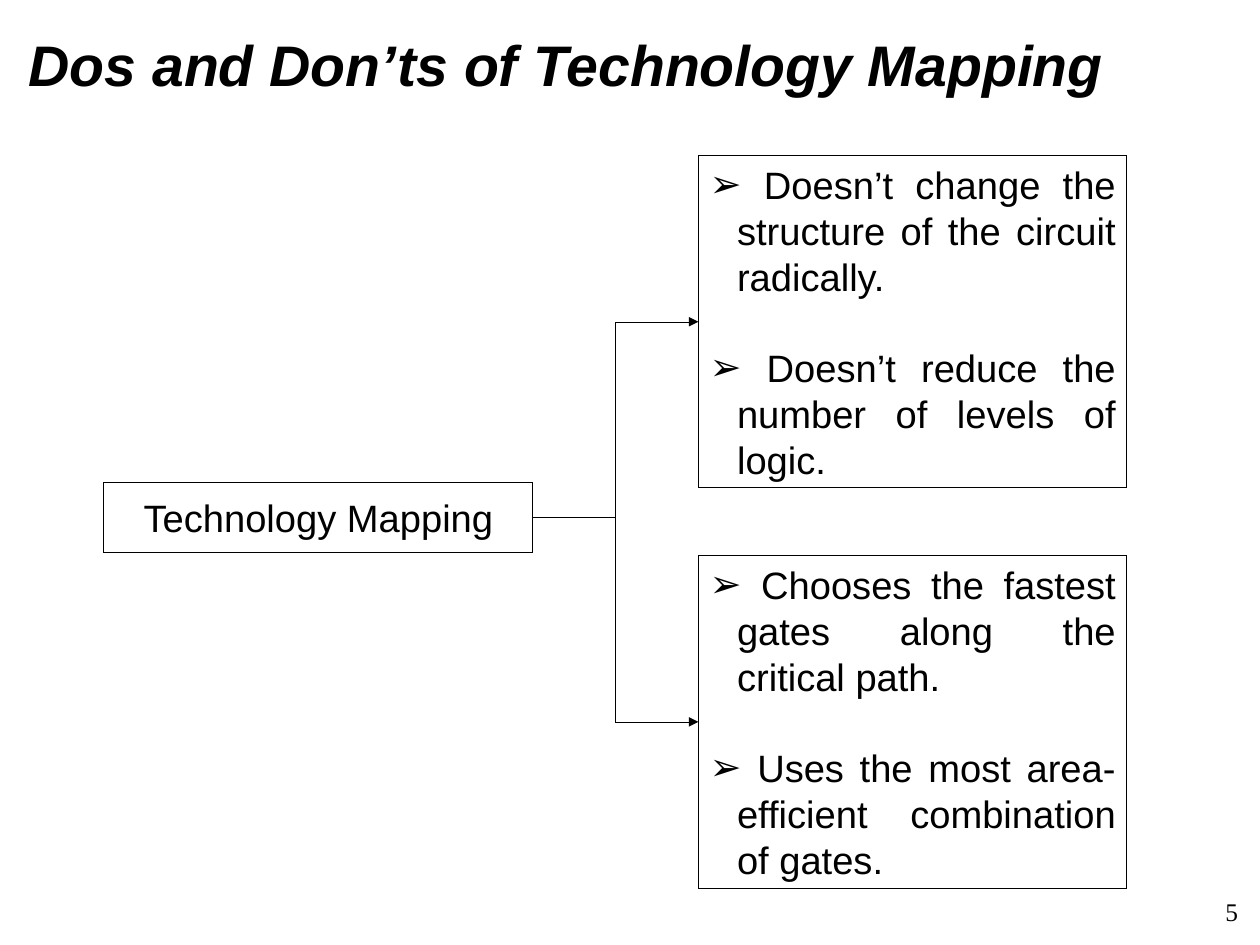
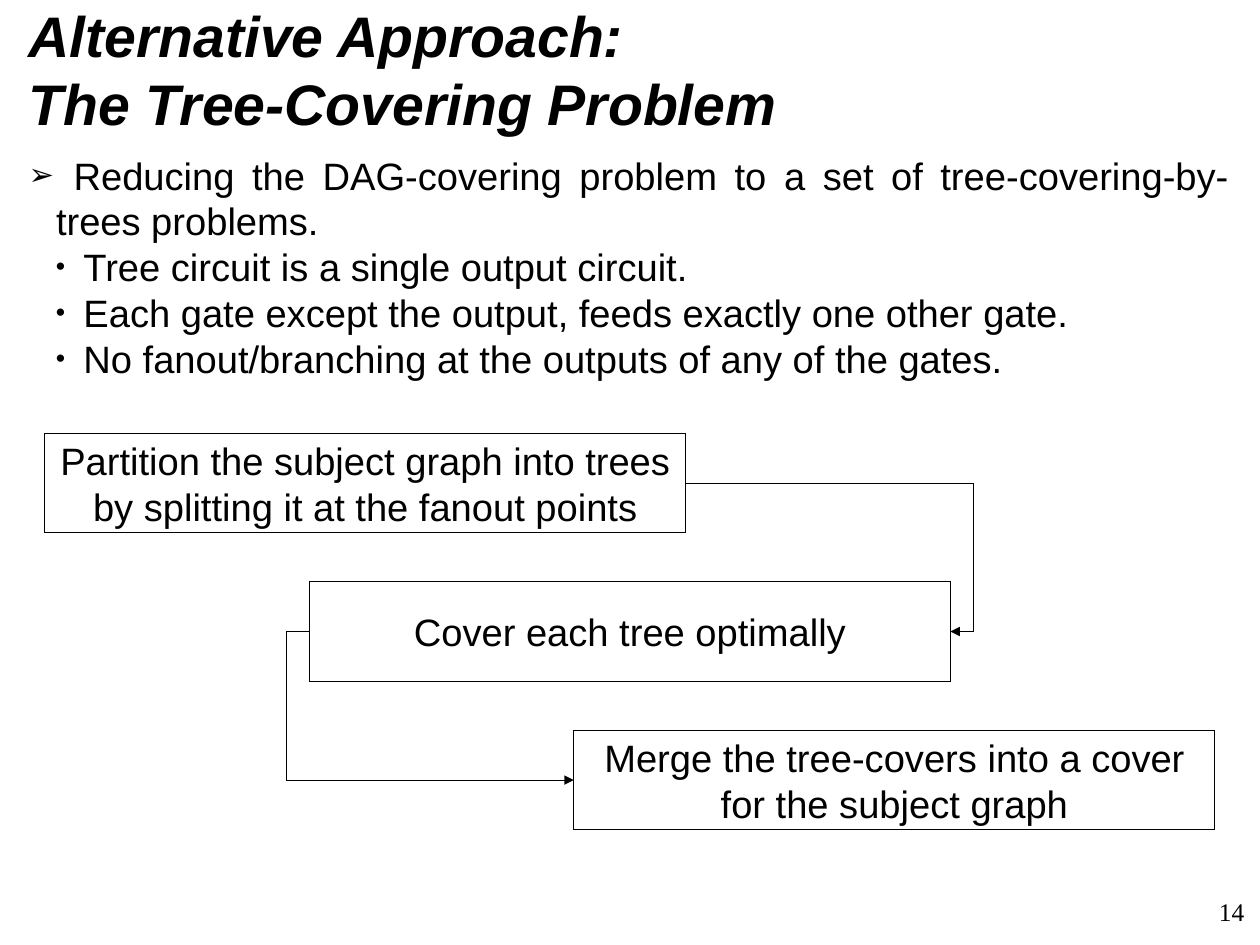
import pptx
import pptx.util
import pptx.dml.color
import pptx.enum.text
import pptx.enum.shapes
import pptx.oxml.ns
import lxml.etree

Inches = pptx.util.Inches
Align = pptx.enum.text.PP_ALIGN
HUES = {"ink": "000000", "paper": "FFFFFF"}
HEAD, TEXT, NOTE = 36, 24, 16
LEAD = 1.2
HANG = 0.24
SANS, SERIF = "Arial", "Times New Roman"
LEFT, WIDE = 0.25, 10.5
PAGE = (28 / 2.54, 21 / 2.54)


def hue(name):
    """Return a palette colour."""
    return pptx.dml.color.RGBColor.from_string(HUES[name])


def node(parent, tag, **attrs):
    """Append a drawing element to its parent."""
    return lxml.etree.SubElement(parent, pptx.oxml.ns.qn("a:" + tag), attrs)


def place(shape, box):
    """Move a shape to a box given in inches."""
    shape.left, shape.top, shape.width, shape.height = map(Inches, box)


def setup(shape, anchor, pads=(0, 0, 0, 0), wrap=True):
    """Set the margins, anchor and wrapping of a text frame."""
    frame = shape.text_frame
    frame.auto_size = pptx.enum.text.MSO_AUTO_SIZE.NONE
    frame.word_wrap = wrap
    frame.vertical_anchor = anchor
    (frame.margin_left, frame.margin_top,
     frame.margin_right, frame.margin_bottom) = map(Inches, pads)
    return frame


def write(frame, text, size=TEXT, font=SANS, align=Align.CENTER, bold=False,
          slant=False, level=0, mark=None, scale=100, gap=0):
    """Add one formatted paragraph to a text frame."""
    par = frame.paragraphs[0]
    if par.runs:
        par = frame.add_paragraph()
    par.text = text
    par.level = level
    par.alignment = align
    par.line_spacing = pptx.util.Pt(size * LEAD)
    par.space_before = pptx.util.Pt(gap)
    for run in par.runs:
        run.font.size = pptx.util.Pt(size)
        run.font.name = font
        run.font.bold, run.font.italic = bold, slant
        run.font.color.rgb = hue("ink")
    if mark:
        props = par._p.get_or_add_pPr()
        props.set("marL", str(Inches(HANG * (level + 1))))
        props.set("indent", str(-Inches(HANG)))
        node(node(props, "buClr"), "srgbClr", val=HUES["ink"])
        node(props, "buSzPct", val=str(scale * 1000))
        node(props, "buFont", typeface=font)
        node(props, "buChar", char=mark)


def hairline(shape):
    """Give a shape or connector the thinnest ink line."""
    shape.line.color.rgb = hue("ink")
    edge = shape.line._get_or_add_ln()
    edge.set("w", "0")
    return edge


def start(deck, layout, title, top, page):
    """Add a slide with its title and page number."""
    slide = deck.slides.add_slide(deck.slide_layouts[layout])
    middle = pptx.enum.text.MSO_ANCHOR.MIDDLE
    head = slide.shapes.title
    place(head, (LEFT, top, WIDE, 0.98))
    write(setup(head, middle), title, size=HEAD, align=Align.LEFT,
          bold=True, slant=True)
    foot = slide.shapes.add_textbox(*map(Inches, (10.5, 7.67, 0.55, 0.6)))
    frame = setup(foot, middle, (0.1, 0.05, 0.1, 0.05), wrap=False)
    write(frame, str(page), size=NOTE, font=SERIF)
    return slide


def panel(slide, box):
    """Add an outlined box and return it with its text frame."""
    shape = slide.shapes.add_shape(
        pptx.enum.shapes.MSO_SHAPE.RECTANGLE, *map(Inches, box))
    shape.shadow.inherit = False
    shape.fill.solid()
    shape.fill.fore_color.rgb = hue("paper")
    hairline(shape)
    frame = setup(shape, pptx.enum.text.MSO_ANCHOR.MIDDLE,
                  (0.1, 0.05, 0.1, 0.05))
    return shape, frame


def link(slide, first, last, sides, bend):
    """Join two boxes by a bent arrow."""
    line = slide.shapes.add_connector(
        pptx.enum.shapes.MSO_CONNECTOR.ELBOW, 0, 0, 0, 0)
    line.begin_connect(first, sides[0])
    line.end_connect(last, sides[1])
    node(hairline(line), "tailEnd", type="triangle")
    props = line._element.spPr
    node(props, "effectLst")
    guides = props.find(pptx.oxml.ns.qn("a:prstGeom")).get_or_add_avLst()
    node(guides, "gd", name="adj1", fmla=f"val {round(bend * 100000)}")


def fork(slide, box, root, groups):
    """Draw a root box that points to stacked list boxes."""
    left, top, width, height = box
    wide, tall, low = 3.75, 2.91, 0.61
    stem, frame = panel(slide, (left, top + 2.86, wide, low))
    write(frame, root)
    step = (height - tall) / (len(groups) - 1)
    for row, items in enumerate(groups):
        leaf, frame = panel(
            slide, (left + width - wide, top + row * step, wide, tall))
        for order, item in enumerate(items):
            write(frame, item, align=Align.JUSTIFY, mark="➢",
                  gap=TEXT * LEAD if order else 0)
        link(slide, stem, leaf, (3, 1), 0.5)


def outline(slide, box, lead, items):
    """Fill the body with a lead point and its sub-points."""
    body = slide.placeholders[1]
    place(body, box)
    frame = setup(body, pptx.enum.text.MSO_ANCHOR.TOP)
    write(frame, lead, align=Align.JUSTIFY, mark="➢", scale=80)
    for item in items:
        write(frame, item, align=Align.JUSTIFY, level=1, mark="•", scale=70)


def stairs(slide, box, steps):
    """Draw boxes that step down to the right, joined in order."""
    left, top, width, height = box
    wide, tall, turn = 5.61, 0.87, 0.2
    across = (width - wide) / (len(steps) - 1)
    down = (height - tall) / (len(steps) - 1)
    routes = [((3, 3), 1 + turn / across), ((1, 1), -turn / across)]
    past = None
    for order, step in enumerate(steps):
        shape, frame = panel(
            slide, (left + order * across, top + order * down, wide, tall))
        write(frame, step)
        if past:
            link(slide, past, shape, *routes[(order - 1) % 2])
        past = shape


def main():
    """Build and save the slides."""
    deck = pptx.Presentation()
    deck.slide_width, deck.slide_height = map(Inches, PAGE)
    slide = start(deck, 5, "Dos and Don’ts of Technology Mapping", 0.07, 5)
    fork(slide, (0.91, 1.36, 8.95, 6.41), "Technology Mapping", [
        [" Doesn’t change the structure of the circuit radically.",
         " Doesn’t reduce the number of levels of logic."],
        [" Chooses the fastest gates along the critical path.",
         " Uses the most area-efficient combination of gates."]])
    slide = start(deck, 1, "Alternative Approach:\vThe Tree-Covering Problem",
                  0.11, 14)
    outline(slide, (LEFT, 1.33, WIDE, 2.2),
            " Reducing the DAG-covering problem to a set of "
            "tree-covering-by-trees problems.",
            ["Tree circuit is a single output circuit.",
             "Each gate except the output, feeds exactly one other gate.",
             "No fanout/branching at the outputs of any of the gates."])
    stairs(slide, (0.39, 3.79, 10.24, 3.47), [
        "Partition the subject graph into trees by splitting it at the "
        "fanout points",
        "Cover each tree optimally",
        "Merge the tree-covers into a cover for the subject graph"])
    deck.save("out.pptx")


if __name__ == "__main__":
    main()
